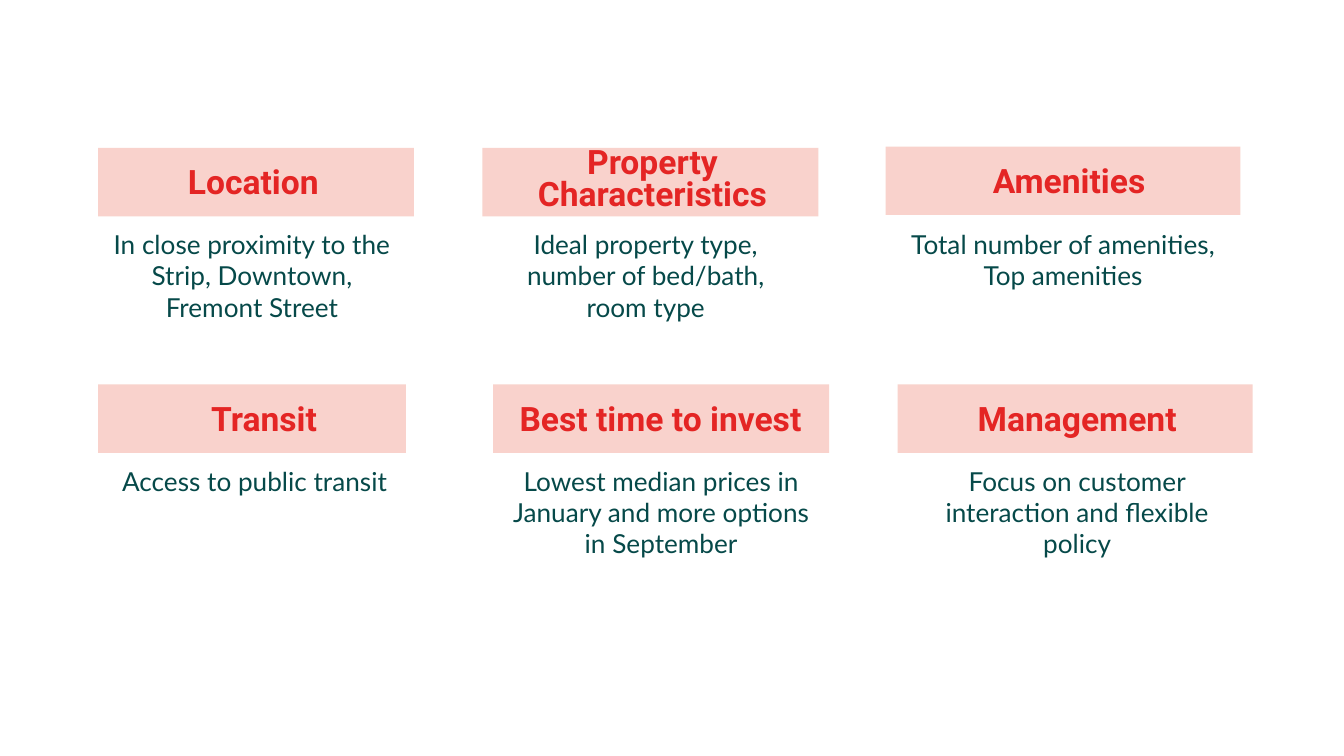
import dataclasses

import lxml.etree
import pptx
import pptx.dml.color
import pptx.enum.shapes
import pptx.enum.text
import pptx.oxml.ns
import pptx.util

Inches = pptx.util.Inches


@dataclasses.dataclass(frozen=True)
class Theme:
    """Colours, fonts and sizes shared by every card."""
    band: str = "F4AA9E"
    band_alpha: int = 52
    title: str = "E42524"
    body: str = "064949"
    title_font: str = "Roboto"
    body_font: str = "Lato"
    title_size: int = 18
    body_size: int = 14
    inset: float = 0.1


@dataclasses.dataclass(frozen=True)
class Card:
    """One factor: band box, then title and body boxes as offsets from the band."""
    title: str
    body: str
    band: tuple
    title_box: tuple
    body_box: tuple
    title_spacing: float = 1.0


THEME = Theme()
PAGE_WIDTH = 10
PAGE_HEIGHT = PAGE_WIDTH * 9 / 16
BAND_HEIGHT = 0.51
CARDS = [
    Card("Location", "In close proximity to the Strip, Downtown, Fremont Street",
         (0.73, 1.1, 2.35), (0.27, 0.04, 1.77, 0.42), (0, 0.5, 2.29, 0.89)),
    Card("Property Characteristics", "Ideal property type, number of bed/bath, room type",
         (3.59, 1.1, 2.5), (0, -0.01, 2.53, 0.51), (0, 0.5, 2.43, 0.89), 0.8),
    Card("Amenities", "Total number of amenities, Top amenities",
         (6.59, 1.09, 2.64), (0.15, 0.04, 2.43, 0.42), (0, 0.51, 2.64, 0.86)),
    Card("Transit", "Access to public transit",
         (0.73, 2.86, 2.29), (0.33, 0.04, 1.81, 0.42), (-0.05, 0.5, 2.43, 0.42)),
    Card("Best time to invest", "Lowest median prices in January and more options in September",
         (3.67, 2.86, 2.5), (0.03, 0.04, 2.43, 0.42), (0, 0.5, 2.5, 0.94)),
    Card("Management", "Focus on customer interaction and flexible policy",
         (6.68, 2.86, 2.64), (0.29, 0.04, 2.09, 0.42), (0.12, 0.5, 2.43, 0.66)),
]


def add_band(page, left, top, width):
    """Draw the translucent band behind a title."""
    band = page.shapes.add_shape(
        pptx.enum.shapes.MSO_SHAPE.RECTANGLE,
        Inches(left), Inches(top), Inches(width), Inches(BAND_HEIGHT))
    band.shadow.inherit = False
    band.line.fill.background()
    band.fill.solid()
    band.fill.fore_color.rgb = pptx.dml.color.RGBColor.from_string(THEME.band)
    qualified = pptx.oxml.ns.qn
    colour = band.element.spPr.find(".//" + qualified("a:srgbClr"))
    lxml.etree.SubElement(colour, qualified("a:alpha"), val=str(THEME.band_alpha * 1000))


def add_text(page, box, text, font, size, colour, bold, anchor, spacing=1.0):
    """Place centred, wrapped text in a box given in inches."""
    frame = page.shapes.add_textbox(*map(Inches, box)).text_frame
    frame.word_wrap = True
    frame.vertical_anchor = anchor
    frame.margin_left = frame.margin_right = Inches(THEME.inset)
    frame.margin_top = frame.margin_bottom = Inches(THEME.inset)
    frame.text = text
    para = frame.paragraphs[0]
    para.alignment = pptx.enum.text.PP_ALIGN.CENTER
    para.line_spacing = spacing
    span = para.runs[0]
    span.font.name = font
    span.font.size = pptx.util.Pt(size)
    span.font.bold = bold
    span.font.color.rgb = pptx.dml.color.RGBColor.from_string(colour)


def add_card(page, card):
    """Build a card: band, title over it and description below."""
    left, top, width = card.band

    def placed(box):
        """Shift a box from the band's corner to the page."""
        across, down, box_width, box_height = box
        return left + across, top + down, box_width, box_height

    anchors = pptx.enum.text.MSO_ANCHOR
    add_band(page, left, top, width)
    add_text(page, placed(card.title_box), card.title, THEME.title_font,
             THEME.title_size, THEME.title, True, anchors.MIDDLE, card.title_spacing)
    add_text(page, placed(card.body_box), card.body, THEME.body_font,
             THEME.body_size, THEME.body, False, anchors.TOP)


def main():
    """Create the deck with its six investment factors."""
    deck = pptx.Presentation()
    deck.slide_width = Inches(PAGE_WIDTH)
    deck.slide_height = Inches(PAGE_HEIGHT)
    page = deck.slides.add_slide(deck.slide_layouts[6])
    for card in CARDS:
        add_card(page, card)
    deck.save("out.pptx")


if __name__ == "__main__":
    main()
